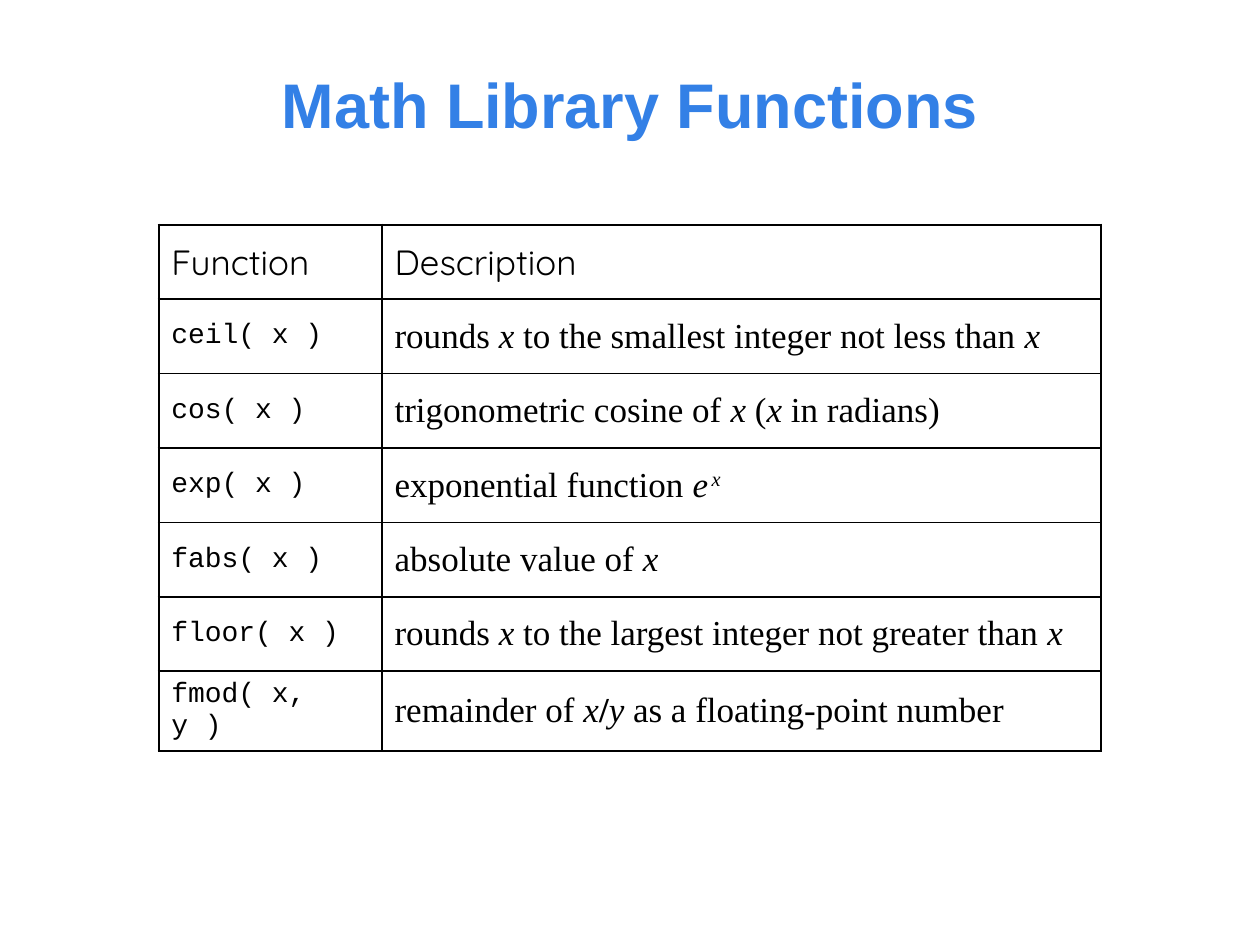
from lxml import etree
from pptx import Presentation
from pptx import util as u
from pptx.dml.color import RGBColor
from pptx.enum import text as t
from pptx.oxml.ns import qn

HUE = {"title": "3380E6", "ink": "000000"}
HEAD, CODE, BODY = ("Quicksand", 20), ("Courier New", 16), ("Times New Roman", 20)
X = ("x", "i")

# Each description is a list of (text, style): i italic, b bold, s superscript, w wide
ROWS = [
    ("ceil( x )", [("rounds ", ""), X, (" to the smallest integer not less than ", ""), X]),
    ("cos( x )", [("trigonometric cosine of ", ""), X, (" (", ""), X, (" in radians)", "")]),
    ("exp( x )", [("exponential function ", ""), ("e", "iw"), ("x", "is")]),
    ("fabs( x )", [("absolute value of ", ""), X]),
    ("floor( x )", [("rounds ", ""), X, (" to the largest integer not greater than ", ""), X]),
    ("fmod( x, y )", [("remainder of ", ""), X, ("/", "b"), ("y", "i"),
                      (" as a floating-point number", "")]),
]


def style(par, face, size, hue):
    par.font.name, par.font.size = face, u.Pt(size)
    par.font.color.rgb = RGBColor.from_string(HUE[hue])


def write(par, runs):
    for words, marks in runs:
        run = par.add_run()
        run.text = words
        if "i" in marks:
            run.font.italic = True
        if "b" in marks:
            run.font.bold = True
        props = run.font._element
        if "s" in marks:
            props.set("baseline", "30000")
        if "w" in marks:
            props.set("spc", "200")


def edge(cell, side, width):
    line = etree.SubElement(cell._tc.get_or_add_tcPr(), qn("a:ln" + side),
                            w=str(u.Pt(width)))
    fill = etree.SubElement(line, qn("a:solidFill"))
    etree.SubElement(fill, qn("a:srgbClr"), val=HUE["ink"])


def add_title(slide, left, top, width, height):
    frame = slide.shapes.add_textbox(left, top, width, height).text_frame
    frame.word_wrap = True
    frame.vertical_anchor = t.MSO_ANCHOR.MIDDLE
    par = frame.paragraphs[0]
    par.text = "Math Library Functions"
    par.alignment = t.PP_ALIGN.CENTER
    style(par, "Arial", 36, "title")
    par.font.bold = True


def add_grid(slide, left, top, width, height):
    rows = [("Function", [("Description", "")])] + ROWS
    last = len(rows) - 1
    grid = slide.shapes.add_table(len(rows), 2, left, top, width, height).table
    grid.first_row = grid.horz_banding = False
    grid.columns[0].width = u.Cm(4.5)
    grid.columns[1].width = width - u.Cm(4.5)

    for r, (call, about) in enumerate(rows):
        for c, runs in enumerate(([(call, "")], about)):
            cell = grid.cell(r, c)
            cell.vertical_anchor = t.MSO_ANCHOR.MIDDLE
            par = cell.text_frame.paragraphs[0]
            style(par, *(HEAD if r == 0 else (CODE, BODY)[c]), "ink")
            write(par, runs)
            # Thicker lines around the outside
            outer = {"L": c == 0, "R": c == 1, "T": r == 0, "B": r == last}
            for side, thick in outer.items():
                edge(cell, side, 1.5 if thick else 1)
            cell.fill.background()


def main():
    deck = Presentation()
    deck.slide_width, deck.slide_height = u.Cm(25.4), u.Cm(19.05)
    slide = deck.slides.add_slide(deck.slide_layouts[6])
    add_title(slide, u.Cm(1.9), u.Cm(0.71), u.Cm(21.6), u.Cm(2.74))
    add_grid(slide, u.Cm(3.2), u.Cm(4.53), u.Cm(19), u.Cm(10.5))
    deck.save("out.pptx")


if __name__ == "__main__":
    main()
